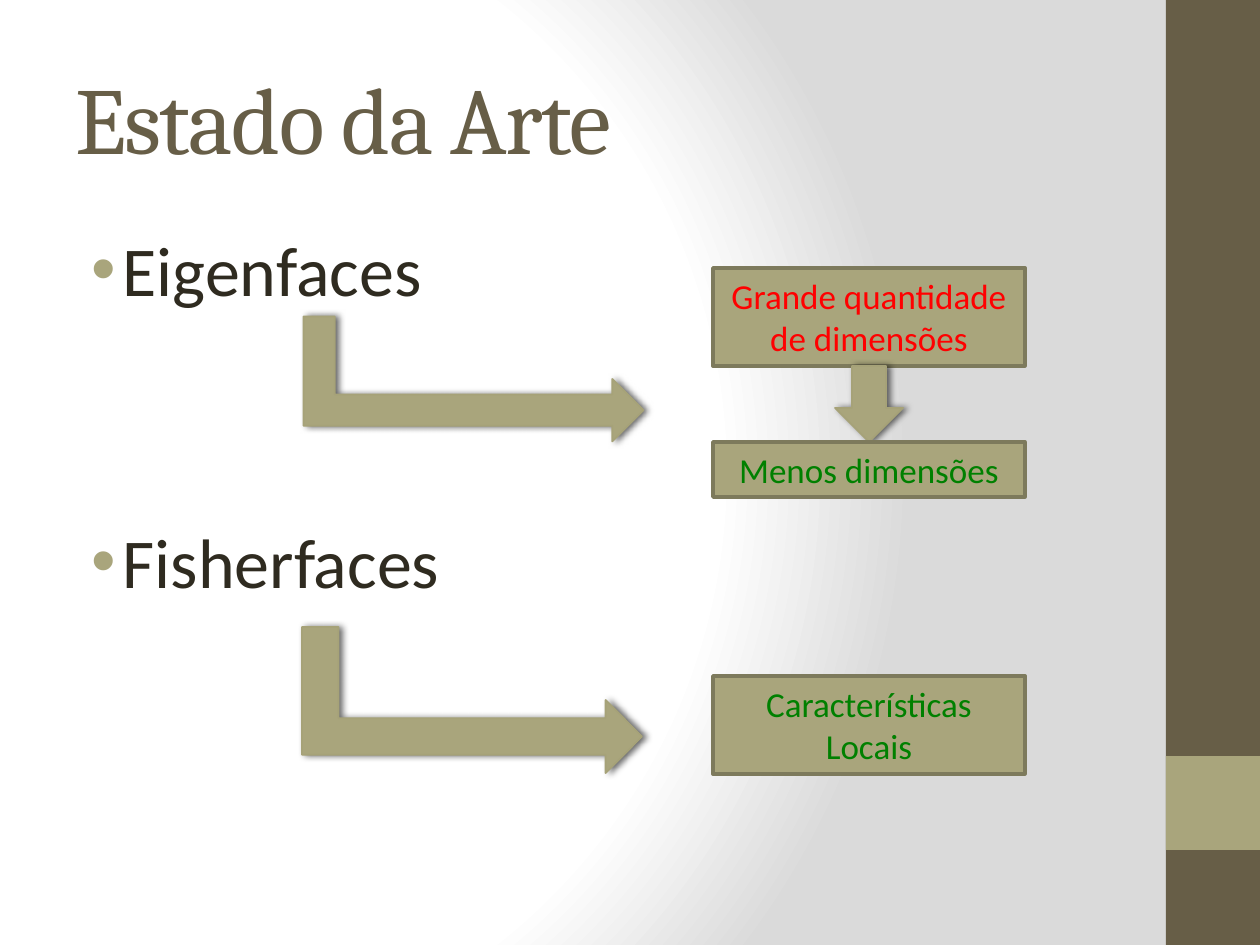
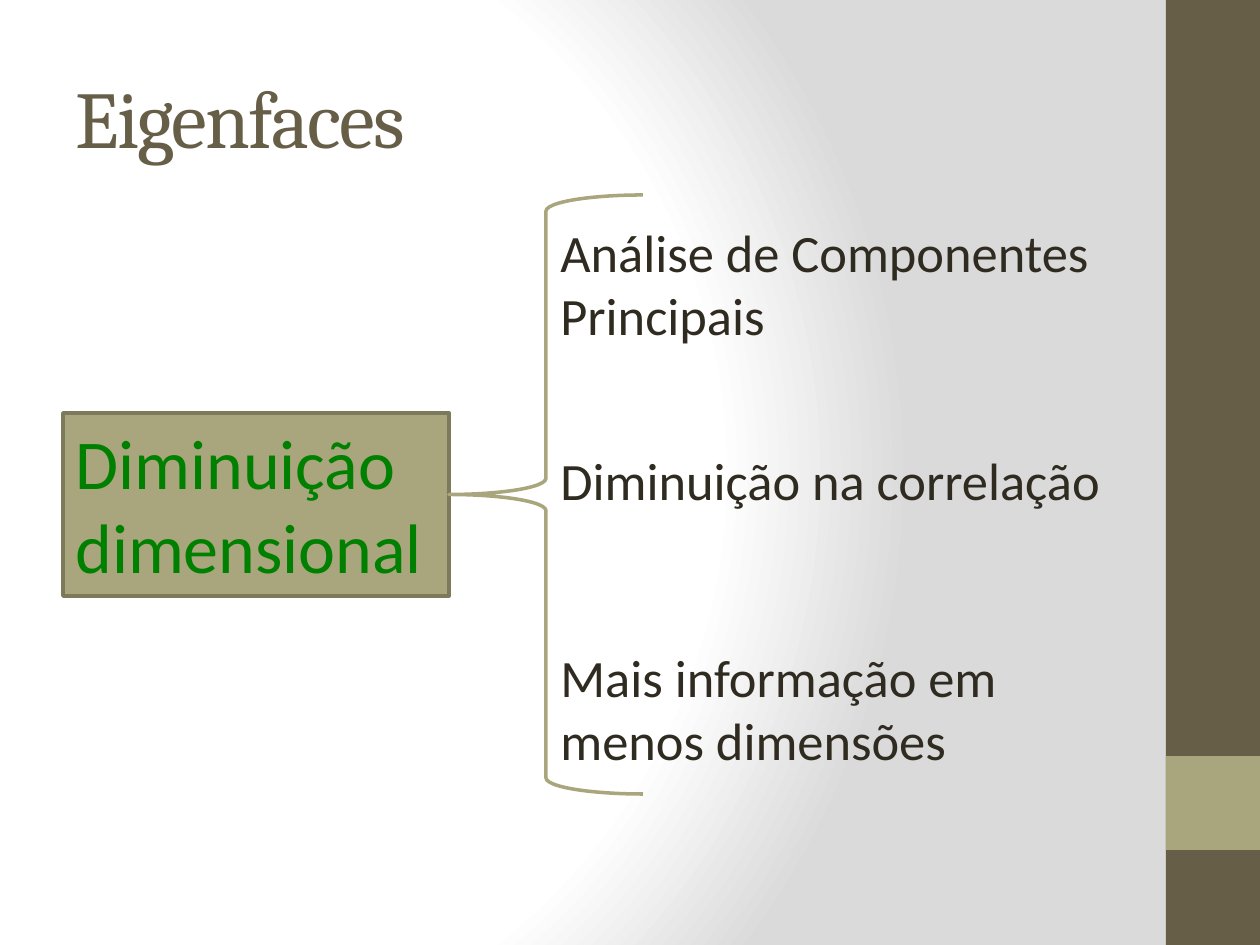
import pptx
import pptx.dml.color
import pptx.enum.shapes
import pptx.enum.text
import pptx.oxml
import pptx.oxml.ns
import pptx.util

RGB = pptx.dml.color.RGBColor
KIND = pptx.enum.shapes.MSO_SHAPE
ALIGN = pptx.enum.text.PP_ALIGN
ANCHOR = pptx.enum.text.MSO_ANCHOR
FIT = pptx.enum.text.MSO_AUTO_SIZE
Pt = pptx.util.Pt

BROWN = RGB(0x67, 0x5E, 0x47)
OLIVE = RGB(0xA9, 0xA5, 0x7C)
EDGE = RGB(0x7D, 0x7A, 0x5C)
RIM = RGB(0xA6, 0xA2, 0x78)
INK = RGB(0x2F, 0x2B, 0x20)
RED = RGB(0xFF, 0x00, 0x00)
GREEN = RGB(0x00, 0x80, 0x00)
HEAD, BODY = "Cambria", "Calibri"

SCALE = 914400 / 126
WIDE, HIGH = 1260, 945
SPACE = pptx.oxml.ns.nsdecls("a")
GLOW = f"""<a:gradFill {SPACE} rotWithShape="1"><a:gsLst>
<a:gs pos="0"><a:srgbClr val="FFFFFF"/></a:gs>
<a:gs pos="75000"><a:srgbClr val="FFFFFF"/></a:gs>
<a:gs pos="100000"><a:srgbClr val="DADADA"/></a:gs></a:gsLst>
<a:path path="circle"><a:fillToRect l="20000" t="50000" r="100000" b="50000"/></a:path>
</a:gradFill>"""
SHADE = f"""<a:effectLst {SPACE}><a:outerShdw blurRad="50800" dist="25400" dir="0"
rotWithShape="0"><a:srgbClr val="000000"><a:alpha val="60000"/></a:srgbClr>
</a:outerShdw></a:effectLst>"""


def emu(*sizes):
    """Turn pixels into EMU."""
    return [pptx.util.Emu(round(size * SCALE)) for size in sizes]


class Deck:
    """Hold the shared style and the current slide."""

    def __init__(self):
        """Start an empty deck."""
        self.prs = pptx.Presentation()
        self.prs.slide_width, self.prs.slide_height = emu(WIDE, HIGH)
        self.slide = None

    def page(self, title, size):
        """Add a slide with its background, side band and title."""
        self.slide = self.prs.slides.add_slide(self.prs.slide_layouts[6])
        fill = self.slide.background.fill
        fill.gradient()
        grad = self.slide.element.find(".//" + pptx.oxml.ns.qn("a:gradFill"))
        grad.getparent().replace(grad, pptx.oxml.parse_xml(GLOW))
        self.shape(KIND.RECTANGLE, (1166, 0, 94, HIGH), OLIVE and BROWN)
        self.shape(KIND.RECTANGLE, (1166, 756, 94, 94), OLIVE)
        frame = self.frame((63, 38, 1050, 157))
        frame.vertical_anchor = ANCHOR.MIDDLE
        run = self.run(frame.paragraphs[0], title, size, BROWN, HEAD)
        run.font._element.set("spc", "-100")

    def shape(self, kind, area, fill=None, line=None, width=1):
        """Add a preset shape, without fill or line where none is given."""
        item = self.slide.shapes.add_shape(kind, *emu(*area))
        item.shadow.inherit = False
        if fill is None:
            item.fill.background()
        else:
            item.fill.solid()
            item.fill.fore_color.rgb = fill
        if line is None:
            item.line.fill.background()
        else:
            item.line.color.rgb = line
            item.line.width = Pt(width)
        return item

    def arrow(self, kind, area, turn=0):
        """Add a block arrow with a soft shadow."""
        item = self.shape(kind, area, OLIVE, RIM)
        item.rotation = turn
        props = item.element.spPr
        old = props.find(pptx.oxml.ns.qn("a:effectLst"))
        props.replace(old, pptx.oxml.parse_xml(SHADE))

    def run(self, para, text, size, color, face=BODY):
        """Add one styled run."""
        run = para.add_run()
        run.text = text
        run.font.size = Pt(size)
        run.font.name = face
        run.font.color.rgb = color
        return run

    def frame(self, area, wrap=True):
        """Add a text box and return its text frame."""
        frame = self.slide.shapes.add_textbox(*emu(*area)).text_frame
        frame.word_wrap = wrap
        return frame

    def note(self, area, text, wrap=True):
        """Add a plain text that fits its box."""
        frame = self.frame(area, wrap)
        frame.auto_size = FIT.SHAPE_TO_FIT_TEXT
        self.run(frame.paragraphs[0], text, 30, INK)

    def box(self, area, text, color, size=20, align=ALIGN.CENTER):
        """Add a framed olive box with text."""
        item = self.shape(KIND.RECTANGLE, area, OLIVE, EDGE, 2)
        frame = item.text_frame
        frame.word_wrap = True
        frame.auto_size = FIT.SHAPE_TO_FIT_TEXT
        frame.vertical_anchor = ANCHOR.TOP
        para = frame.paragraphs[0]
        para.alignment = align
        self.run(para, text, size, color)

    def list(self, area, items, gap):
        """Add a bulleted list with a gap in points between items."""
        frame = self.frame(area)
        for rank, text in enumerate(items):
            para = frame.add_paragraph() if rank else frame.paragraphs[0]
            para.space_before = Pt(gap if rank else 0)
            props = para._p.get_or_add_pPr()
            props.set("marL", "342900")
            props.set("indent", "-228600")
            for mark in (f'<a:buClr {SPACE}><a:srgbClr val="{OLIVE}"/></a:buClr>',
                         f'<a:buFont {SPACE} typeface="Arial"/>',
                         f'<a:buChar {SPACE} char="•"/>'):
                props.append(pptx.oxml.parse_xml(mark))
            self.run(para, text, 40, INK)


def state(deck):
    """Build the slide on the state of the art."""
    deck.page("Estado da Arte", 54)
    deck.list((63, 220, 1050, 662), ["Eigenfaces", "Fisherfaces"], 119)
    deck.arrow(KIND.BENT_UP_ARROW, (411, 209, 125, 340), 90)
    deck.arrow(KIND.BENT_UP_ARROW, (399, 530, 146, 340), 90)
    left, wide = 713, 312
    deck.box((left, 268, wide, 98), "Grande quantidade de dimensões", RED)
    deck.arrow(KIND.DOWN_ARROW, (835, 366, 68, 76))
    deck.box((left, 442, wide, 55), "Menos dimensões", GREEN)
    deck.box((left, 676, wide, 98), "Características Locais", GREEN)


def eigen(deck):
    """Build the slide on Eigenfaces."""
    deck.page("Eigenfaces", 46)
    deck.box((63, 413, 386, 183), "Diminuição dimensional", GREEN, 40, ALIGN.LEFT)
    deck.shape(KIND.LEFT_BRACE, (449, 195, 194, 599), None, OLIVE, 2)
    left = 548
    deck.note((left, 214, 565, 140), "Análise de Componentes Principais")
    deck.note((left, 442, 572, 77), "Diminuição na correlação", False)
    deck.note((left, 639, 572, 140), "Mais informação em menos dimensões")


def main():
    """Build and save the deck."""
    deck = Deck()
    state(deck)
    eigen(deck)
    deck.prs.save("out.pptx")


main()
